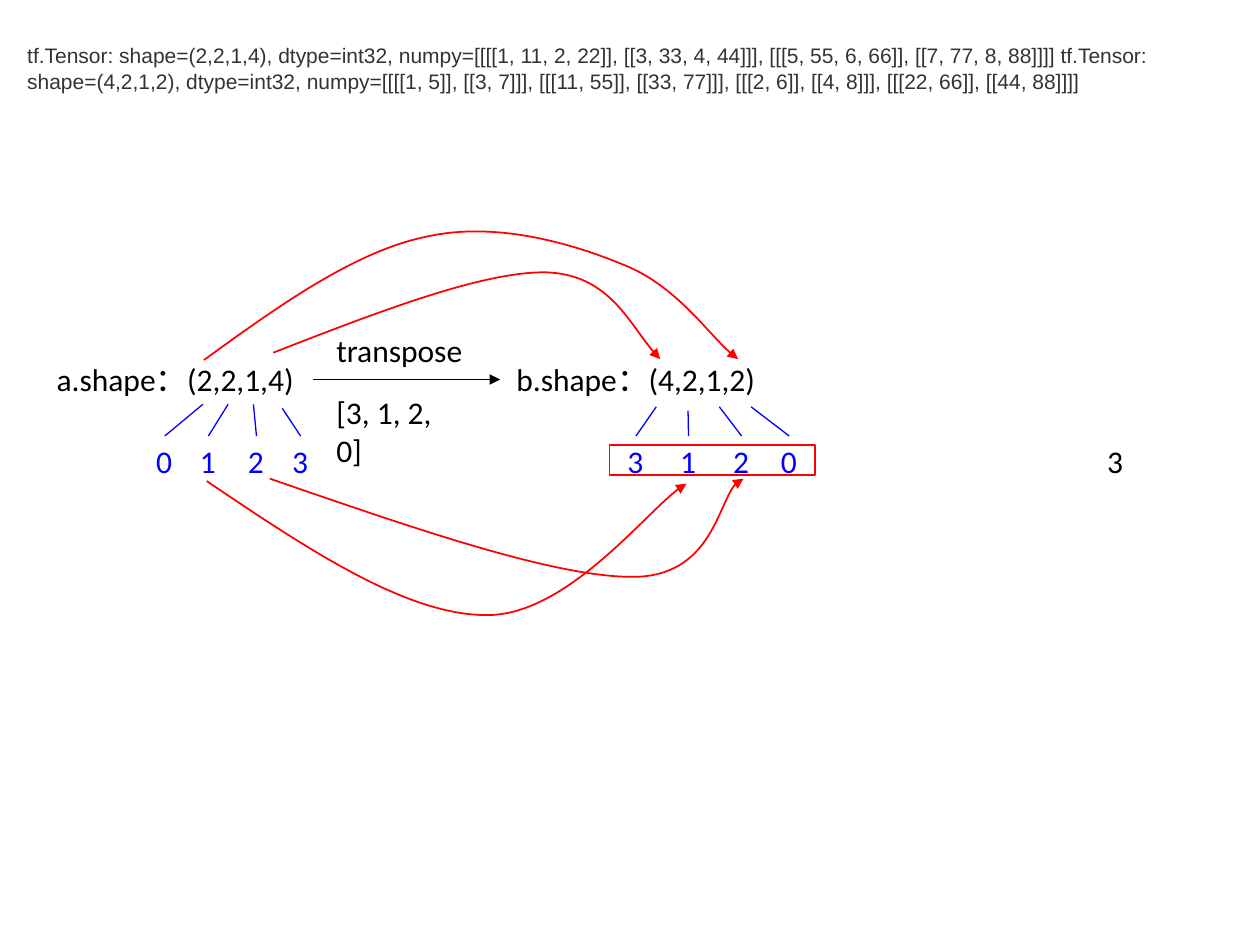
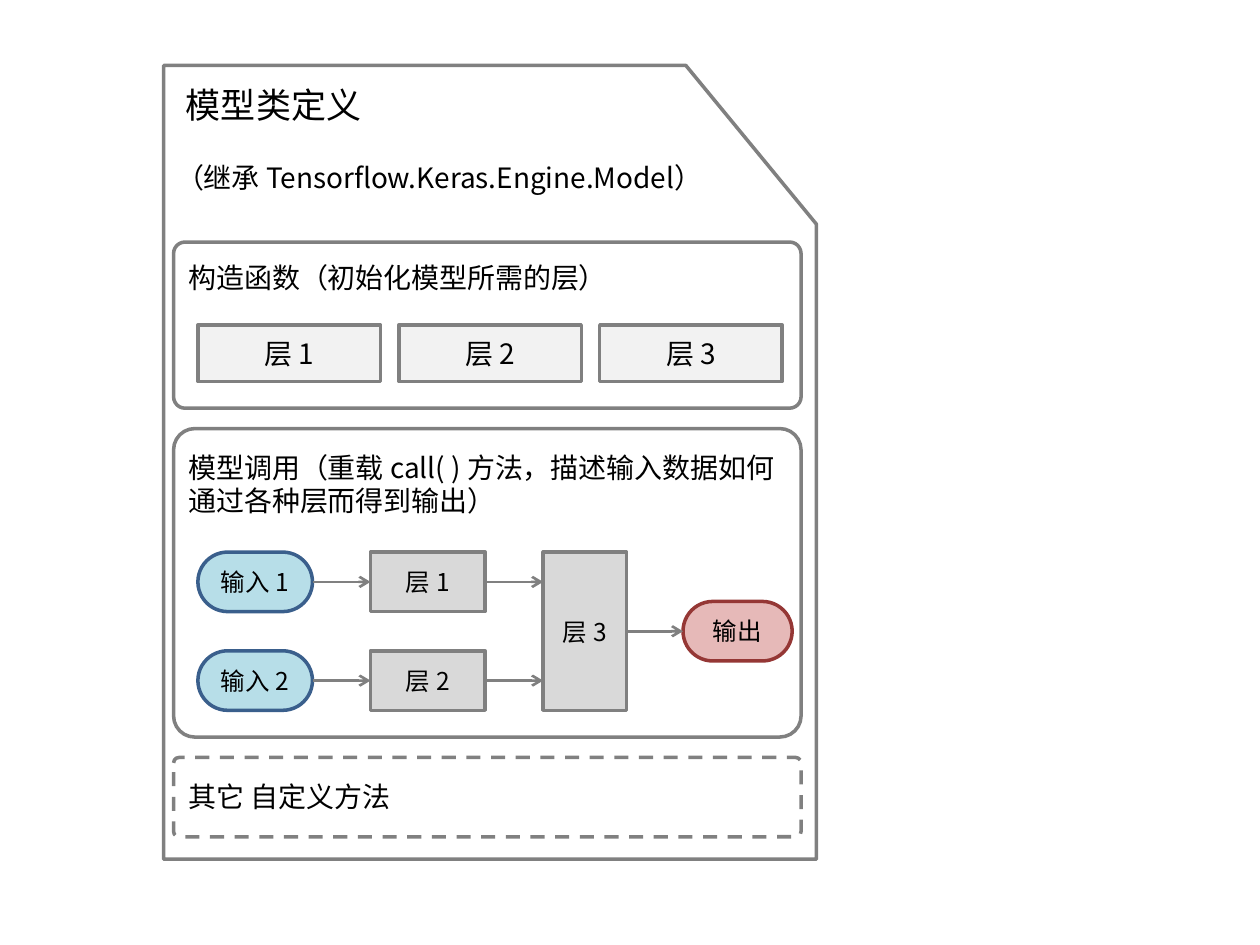
from dataclasses import dataclass

from pptx import Presentation
from pptx.dml.color import RGBColor
from pptx.enum.dml import MSO_LINE_DASH_STYLE as Dash
from pptx.enum.shapes import MSO_CONNECTOR as Link, MSO_SHAPE as Preset
from pptx.enum.text import MSO_ANCHOR as Anchor, MSO_AUTO_SIZE as AutoSize, PP_ALIGN as Align
from pptx.oxml.xmlchemy import OxmlElement
from pptx.util import Cm, Pt

TOP, LEFT, RIGHT = 0, 1, 3


@dataclass(frozen=True)
class Theme:
    black: str = "000000"
    log: str = "333333"
    axis: str = "0000FF"
    flow: str = "FF0000"
    outline: str = "808080"
    pale: str = "F2F2F2"
    layer: str = "D9D9D9"
    input_fill: str = "B7DEE8"
    input_line: str = "3A5F8C"
    output_fill: str = "E6B9B8"
    output_line: str = "953735"
    cjk: str = "Noto Sans CJK SC"
    log_font: tuple = (("name", "Arial"), ("size", Pt(12)))
    math_font: tuple = (("name", "Calibri"), ("size", Pt(18)))
    heading_font: tuple = (("name", cjk), ("size", Pt(20)))
    body_font: tuple = (("name", cjk), ("size", Pt(16)))
    node_font: tuple = (("name", cjk), ("size", Pt(14)))
    thin: float = 0.75
    curve: float = 1
    arrow: float = 1.5
    frame: float = 2


THEME = Theme()


def set_all(target, values):
    for attribute, value in dict(values).items():
        setattr(target, attribute, value)


def write(shape, text, font, color=THEME.black, align=Align.LEFT, **frame):
    set_all(shape.text_frame, frame)
    paragraph = shape.text_frame.paragraphs[0]
    paragraph.alignment = align
    run = paragraph.add_run()
    run.text = text
    set_all(run.font, font)
    run.font.color.rgb = RGBColor.from_string(color)
    east_asian = OxmlElement("a:ea")
    east_asian.set("typeface", THEME.cjk)
    run.font._element.append(east_asian)


def add_text(slide, box, text, font, color=THEME.black, wrap=False, anchor=Anchor.TOP):
    label = slide.shapes.add_textbox(*map(Cm, box))
    write(label, text, font, color, word_wrap=wrap, vertical_anchor=anchor,
          auto_size=AutoSize.SHAPE_TO_FIT_TEXT)
    return label


def style_line(line, color, width, head=None):
    line.color.rgb = RGBColor.from_string(color)
    line.width = Pt(width)
    if head:
        tail = OxmlElement("a:tailEnd")
        tail.set("type", head)
        line._get_or_add_ln().append(tail)


def add_outline(slide, preset, box, color, width, fill=None, corner=None):
    shape = slide.shapes.add_shape(preset, *map(Cm, box))
    shape.shadow.inherit = False
    style_line(shape.line, color, width)
    if fill:
        shape.fill.solid()
        shape.fill.fore_color.rgb = RGBColor.from_string(fill)
    else:
        shape.fill.background()
    if corner is not None:
        shape.adjustments[0] = corner
    return shape


def add_line(slide, start, end, color, width, head=None):
    line = slide.shapes.add_connector(Link.STRAIGHT, *map(Cm, (*start, *end)))
    line.element.spPr.append(OxmlElement("a:effectLst"))
    style_line(line.line, color, width, head)
    return line


def add_curve(slide, left, top, points):
    """Draw a Bezier arrow: a start point, then three points per segment."""
    start, *controls = [(Cm(left + x), Cm(top + y)) for x, y in points]
    builder = slide.shapes.build_freeform(*start)
    builder.add_line_segments(controls, close=False)
    curve = builder.convert_to_shape()
    curve.shadow.inherit = False
    curve.fill.background()
    style_line(curve.line, THEME.flow, THEME.curve, "triangle")
    steps = iter(curve.element.xpath(".//a:lnTo"))
    for segment in zip(steps, steps, steps):
        bezier = OxmlElement("a:cubicBezTo")
        segment[0].addprevious(bezier)
        for step in segment:
            bezier.append(step[0])
            step.getparent().remove(step)


A_AXES = [("0", 2.01, 3.2, 1.01), ("1", 2.89, 3.71, 1.01),
          ("2", 3.86, 4.22, 1.01), ("3", 4.75, 4.8, 1.09)]
B_AXES = [("3", 2.24, 3.07, 1.06), ("1", 3.3, 3.71, 1.14),
          ("2", 4.37, 4.34, 1.06), ("0", 5.33, 4.98, 1.06)]
AXIS_MOVES = [
    [(5.01, 3.11), (7.09, 2.3), (9.18, 1.49), (10.47, 1.49),
     (11.77, 1.51), (12.25, 2.68), (12.81, 3.24)],
    [(3.61, 3.26), (5.11, 2.17), (6.64, 1.08), (8.06, 0.78), (9.46, 0.45),
     (11.01, 0.9), (12.05, 1.33), (13.11, 1.74), (13.9, 2.91), (14.38, 3.24)],
    [(3.67, 5.7), (5.67, 7.05), (7.68, 8.4), (9.3, 8.4),
     (10.9, 8.42), (12.73, 6.06), (13.34, 5.75)],
    [(4.94, 5.65), (7.81, 6.64), (10.65, 7.63), (12.25, 7.63),
     (13.85, 7.63), (14.03, 5.73), (14.49, 5.65)],
]


def add_digit(slide, left, top, digit, color):
    return add_text(slide, (left, top, 0.84, 1.02), digit, THEME.math_font, color)


def add_shape_tree(slide, left, top, label, axes):
    """Write a tensor shape with a line from each dimension to its axis number."""
    add_text(slide, (left, top, 5.66, 1.02), label, THEME.math_font)
    for axis, axis_x, dimension_x, dimension_y in axes:
        number = add_digit(slide, left + axis_x, top + 1.65, axis, THEME.axis)
        start = left + dimension_x, top + dimension_y
        branch = add_line(slide, start, start, THEME.axis, THEME.thin)
        branch.end_connect(number, TOP)


def add_transpose_diagram(slide, left, top):
    add_shape_tree(slide, left + 0.39, top + 3.14, "a.shape：(2,2,1,4)", A_AXES)
    add_shape_tree(slide, left + 9.66, top + 3.14, "b.shape：(4,2,1,2)", B_AXES)
    add_line(slide, (left + 5.8, top + 3.65), (left + 9.58, top + 3.65),
             THEME.black, THEME.thin, "triangle")
    for text, y in (("transpose", 2.55), ("[3, 1, 2, 0]", 3.8)):
        add_text(slide, (left + 6.03, top + y, 3.07, 1.02), text, THEME.math_font)
    add_digit(slide, left + 21.57, top + 4.79, "3", THEME.black)
    for points in AXIS_MOVES:
        add_curve(slide, left, top, points)
    add_outline(slide, Preset.RECTANGLE, (left + 11.79, top + 4.97, 4.14, 0.61),
                THEME.flow, THEME.curve)


def build_transpose_slide(slide):
    tensors = (
        "tf.Tensor: shape=(2,2,1,4), dtype=int32, numpy=[[[[1, 11, 2, 22]], "
        "[[3, 33, 4, 44]]], [[[5, 55, 6, 66]], [[7, 77, 8, 88]]]] "
        "tf.Tensor: shape=(4,2,1,2), dtype=int32, numpy=[[[[1, 5]], [[3, 7]]], "
        "[[[11, 55]], [[33, 77]]], [[[2, 6]], [[4, 8]]], [[[22, 66]], [[44, 88]]]]")
    add_text(slide, (0.3, 0.74, 23.8, 1.27), tensors, THEME.log_font, THEME.log,
             wrap=True, anchor=Anchor.MIDDLE)
    add_transpose_diagram(slide, 0.5, 4)


def add_node(slide, box, text, fill, line=THEME.outline, font=THEME.node_font,
             preset=Preset.ROUNDED_RECTANGLE, corner=None):
    node = add_outline(slide, preset, box, line, THEME.frame, fill, corner)
    write(node, text, font, align=Align.CENTER, word_wrap=True,
          vertical_anchor=Anchor.MIDDLE)
    return node


def add_section(slide, box):
    return add_outline(slide, Preset.ROUNDED_RECTANGLE, box, THEME.outline,
                       THEME.frame, corner=0.069)


def add_constructor(slide, left, top, width):
    add_section(slide, (left, top, width, 3.35))
    add_text(slide, (left + 0.05, top + 0.25, 9.07, 0.94),
             "构造函数（初始化模型所需的层）", THEME.body_font)
    for index in range(3):
        add_node(slide, (left + 0.49 + 4.05 * index, top + 1.67, 3.68, 1.14),
                 f"层 {index + 1}", THEME.pale, font=THEME.body_font,
                 preset=Preset.RECTANGLE)


def add_flow(slide, source, target=None, reach=0):
    """Join the source's right side to the target, or run straight for reach."""
    start = ((source.left + source.width) / Cm(1),
             (source.top + source.height / 2) / Cm(1))
    arrow = add_line(slide, start, (start[0] + reach, start[1]),
                     THEME.outline, THEME.arrow, "arrow")
    arrow.begin_connect(source, RIGHT)
    if target:
        arrow.end_connect(target, LEFT)


def add_model_call(slide, left, top, width):
    column, row, gap = 3.48, 1.99, 1.17
    node_width, node_height = column - gap, 1.2
    x, y = left + 0.49, top + 2.49
    add_section(slide, (left, top, width, 6.22))
    add_text(slide, (left + 0.05, top + 0.31, width - 0.08, 1.63),
             "模型调用（重载 call( ) 方法，描述输入数据如何通过各种层而得到输出）",
             THEME.body_font, wrap=True)
    for index in range(2):
        row_y = y + row * index
        source = add_node(slide, (x, row_y, node_width, node_height),
                          f"输入 {index + 1}", THEME.input_fill, THEME.input_line,
                          corner=0.5)
        layer = add_node(slide, (x + column, row_y, node_width, node_height),
                         f"层 {index + 1}", THEME.layer, corner=0)
        add_flow(slide, source, layer)
        add_flow(slide, layer, reach=gap)
    merge = add_node(slide, (x + 2 * column, y, 1.68, row + node_height), "层 3",
                     THEME.layer, corner=0)
    output = add_node(slide, (x + 9.78, y + row / 2, 2.2, node_height), "输出",
                      THEME.output_fill, THEME.output_line, corner=0.5)
    add_flow(slide, merge, output)


def add_custom_methods(slide, left, top, width):
    section = add_section(slide, (left, top, width, 1.6))
    section.line.dash_style = Dash.DASH
    add_text(slide, (left + 0.05, top + 0.33, width - 0.08, 0.94),
             "其它 自定义方法", THEME.body_font, wrap=True)


def add_model_card(slide, left, top, width, height):
    card = add_outline(slide, Preset.FLOWCHART_CARD, (left, top, width, height),
                       THEME.outline, THEME.frame)
    card.element.spPr.xfrm.set("flipH", "1")
    add_text(slide, (left + 0.2, top + 0.23, 4.06, 1.12), "模型类定义",
             THEME.heading_font)
    add_text(slide, (left, top + 1.8, 11.38, 0.94),
             "（继承 Tensorflow.Keras.Engine.Model）", THEME.body_font)
    for add_part, y in ((add_constructor, 3.56), (add_model_call, 7.32),
                        (add_custom_methods, 13.95)):
        add_part(slide, left + 0.2, top + y, width - 0.51)


def build_model_slide(slide):
    add_model_card(slide, 3.3, 1.32, 13.16, 16)


def main():
    deck = Presentation()
    set_all(deck, {"slide_width": Cm(25.4), "slide_height": Cm(19.05)})
    for build in (build_transpose_slide, build_model_slide):
        build(deck.slides.add_slide(deck.slide_layouts[6]))
    deck.save("out.pptx")


if __name__ == "__main__":
    main()
